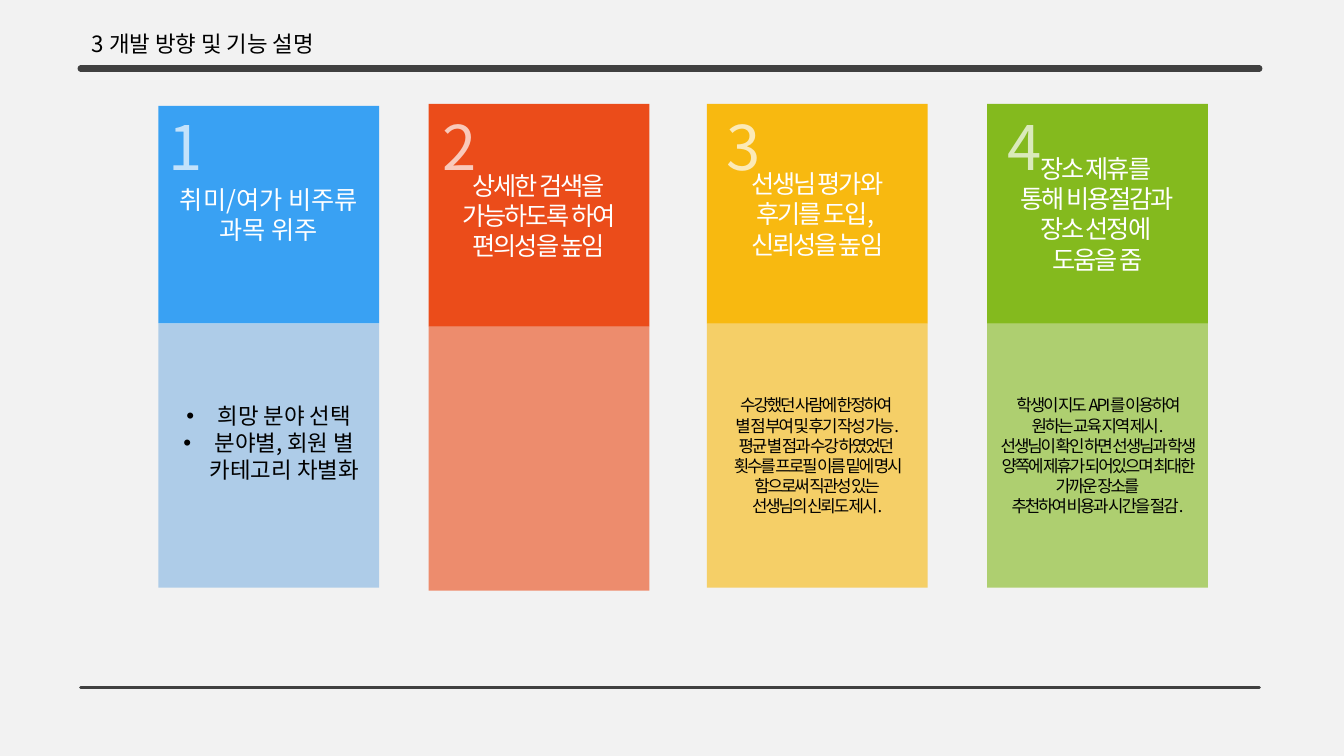
"""Build the slide on development direction and feature descriptions."""
import pptx
import pptx.dml.color
import pptx.enum.shapes
import pptx.enum.text
import pptx.oxml
import pptx.oxml.ns
import pptx.util

Inches = pptx.util.Inches
Pt = pptx.util.Pt
ALIGN = pptx.enum.text.PP_ALIGN
ANCHOR = pptx.enum.text.MSO_ANCHOR
FIT = pptx.enum.text.MSO_AUTO_SIZE

COLORS = {
    "background": "F2F2F2", "rule": "404040", "black": "000000", "white": "FFFFFF",
    "blue": "39A1F3", "pale blue": "9DC3E6", "red": "EB4C1A",
    "yellow": "F8B910", "green": "84BA1E",
}
CARD_WIDTH = 2.19
BODY_HEIGHT = 2.62
CARDS = [
    dict(left=1.57, top=1.05, split=3.21, indent=0, color="blue", body_color="pale blue",
         opacity=80, spacing=0, heading=["취미/여가 비주류 과목 위주"],
         body=["희망 분야 선택", "분야별, 회원 별 카테고리 차별화"],
         body_style=dict(size=16, bullet=True, bottom=0.31)),
    dict(left=4.25, top=1.03, split=3.24, indent=0.04, color="red", body_color="red",
         opacity=61, spacing=-1.5,
         heading=["상세한 검색을", "가능하도록 하여", "편의성을 높임"],
         body=[], body_style=dict(size=12)),
    dict(left=7.01, top=1.03, split=3.21, indent=0.1, color="yellow", body_color="yellow",
         opacity=61, spacing=-1.5,
         heading=["선생님 평가와", "후기를 도입, ", "신뢰성을 높임"],
         body=["수강했던 사람에 한정하여 ", "별 점 부여 및 후기 작성 가능.",
               "평균 별 점과 수강 하였었던 ",
               "횟수를 프로필 이름 밑에 명시 함으로써 직관성 있는",
               "선생님의 신뢰도 제시."],
         body_style=dict(size=12, spacing=-1.5)),
    dict(left=9.79, top=1.03, split=3.21, indent=0.1, color="green", body_color="green",
         opacity=61, spacing=-1.5,
         heading=["장소 제휴를 ", "통해 비용절감과", "장소 선정에 ", "도움을 줌"],
         body=["학생이 지도 API를 이용하여 원하는 교육 지역 제시.",
               "선생님이 확인 하면 선생님과 학생 양쪽에 제휴가 되어있으며 최대한 가까운 장소를",
               "추천하여 비용과 시간을 절감."],
         body_style=dict(size=12, spacing=-1.5)),
]


def add_xml(parent, tag, **attributes):
    """Append a DrawingML element."""
    child = pptx.oxml.parse_xml(f"<{tag} {pptx.oxml.ns.nsdecls('a')}/>")
    for key, value in attributes.items():
        child.set(key, str(value))
    parent.append(child)


class SlideBuilder:
    """Hold the style and the current slide, and draw its elements."""

    font = "Noto Sans CJK KR"

    def __init__(self, slide):
        """Start on a slide and colour its background."""
        self.slide = slide
        self.paint(slide.background.fill, "background")

    def paint(self, fill, color, opacity=100):
        """Give a fill a solid colour and an opacity in percent."""
        fill.solid()
        fill.fore_color.rgb = pptx.dml.color.RGBColor.from_string(COLORS[color])
        if opacity < 100:
            solid = fill._xPr.find(pptx.oxml.ns.qn("a:solidFill"))
            add_xml(solid[0], "a:alpha", val=opacity * 1000)

    def add_lines(self, frame, lines, size, color="black", opacity=100, spacing=0,
                  align=ALIGN.CENTER, bullet=False):
        """Fill a text frame with one paragraph for each line."""
        for index, line in enumerate(lines):
            paragraph = frame.add_paragraph() if index else frame.paragraphs[0]
            paragraph.alignment = align
            if bullet:
                properties = paragraph._p.get_or_add_pPr()
                properties.set("marL", str(Inches(0.31)))
                properties.set("indent", str(-Inches(0.31)))
                add_xml(properties, "a:buFont", typeface="Arial")
                add_xml(properties, "a:buChar", char="•")
            run = paragraph.add_run()
            run.text = line
            run.font.size = Pt(size)
            run.font.name = self.font
            self.paint(run.font.fill, color, opacity)
            properties = run._r.get_or_add_rPr()
            add_xml(properties, "a:ea", typeface=self.font)
            if spacing:
                properties.set("spc", str(round(spacing * 100)))

    def label(self, shape, text, **style):
        """Put a single unwrapped line at the top left of a shape."""
        frame = shape.text_frame
        frame.word_wrap = False
        frame.auto_size = FIT.SHAPE_TO_FIT_TEXT
        frame.vertical_anchor = ANCHOR.TOP
        self.add_lines(frame, [text], align=ALIGN.LEFT, **style)

    def title(self, text, left, top, width, height):
        """Place and fill the title."""
        heading = self.slide.shapes.title
        heading.left, heading.top = Inches(left), Inches(top)
        heading.width, heading.height = Inches(width), Inches(height)
        self.label(heading, text, size=16)

    def panel(self, left, top, height, fill, lines, fill_opacity=100, bottom=0.05, **style):
        """Add a coloured rectangle with centred text."""
        panel = self.slide.shapes.add_shape(
            pptx.enum.shapes.MSO_SHAPE.RECTANGLE,
            Inches(left), Inches(top), Inches(CARD_WIDTH), Inches(height))
        panel.shadow.inherit = False
        panel.line.fill.background()
        self.paint(panel.fill, fill, fill_opacity)
        frame = panel.text_frame
        frame.word_wrap = True
        frame.vertical_anchor = ANCHOR.MIDDLE
        frame.margin_bottom = Inches(bottom)
        self.add_lines(frame, lines, **style)

    def number(self, text, left, top):
        """Add a large translucent card number."""
        box = self.slide.shapes.add_textbox(
            Inches(left), Inches(top), Inches(0.5), Inches(0.84))
        self.label(box, text, size=44, color="white", opacity=70, spacing=-3)

    def rule(self, y, weight):
        """Add a round-capped horizontal line across the slide."""
        rule = self.slide.shapes.add_connector(
            pptx.enum.shapes.MSO_CONNECTOR.STRAIGHT,
            Inches(0.8), Inches(y), Inches(12.49), Inches(y))
        rule.line.width = Pt(weight)
        self.paint(rule.line.fill, "rule")
        rule.line._get_or_add_ln().set("cap", "rnd")
        add_xml(rule._element.spPr, "a:effectLst")

    def card(self, number, card):
        """Add a numbered card made of a heading panel and a body panel."""
        left, top, split = card["left"], card["top"], card["split"]
        self.panel(left, split, BODY_HEIGHT, card["body_color"], card["body"],
                   fill_opacity=card["opacity"], **card["body_style"])
        self.panel(left, top, split - top, card["color"], card["heading"],
                   size=18, color="white", spacing=card["spacing"])
        self.number(str(number), left + card["indent"], 1.03)


def main():
    """Build and save the presentation."""
    deck = pptx.Presentation()
    deck.slide_width, deck.slide_height = Inches(13.33), Inches(7.5)
    builder = SlideBuilder(deck.slides.add_slide(deck.slide_layouts[5]))
    builder.title("3 개발 방향 및 기능 설명", 0.81, 0.25, 2.74, 0.37)
    for number, card in enumerate(CARDS, start=1):
        builder.card(number, card)
    builder.rule(0.68, 4.5)
    builder.rule(6.82, 2.25)
    deck.save("out.pptx")


if __name__ == "__main__":
    main()
